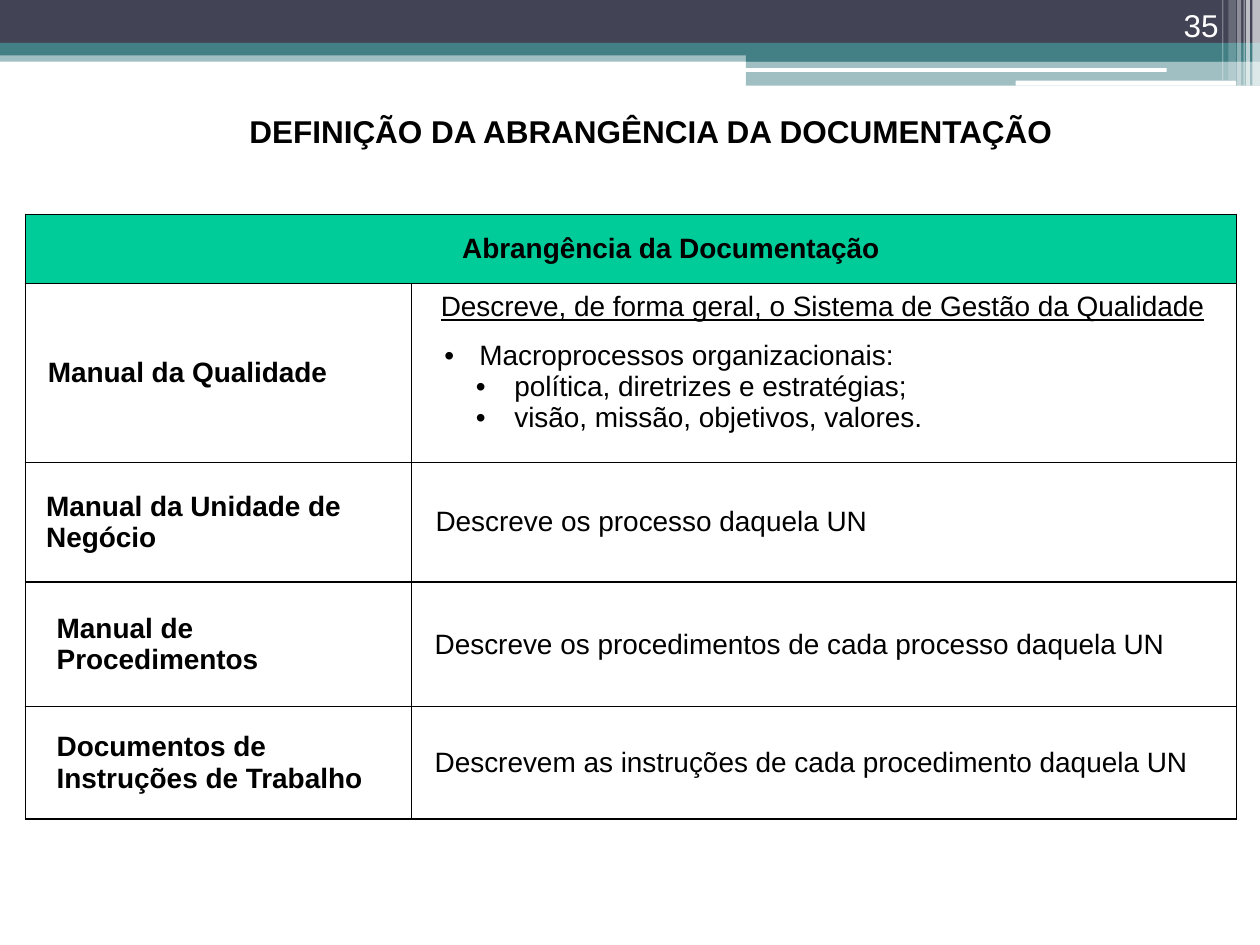
from lxml import etree
from pptx import Presentation
from pptx.dml.color import RGBColor
from pptx.enum.shapes import MSO_SHAPE
from pptx.enum.text import MSO_ANCHOR, PP_ALIGN
from pptx.oxml.ns import qn
from pptx.util import Pt

RECT, ROUNDED = MSO_SHAPE.RECTANGLE, MSO_SHAPE.ROUNDED_RECTANGLE
TOP, MIDDLE, BOTTOM = MSO_ANCHOR.TOP, MSO_ANCHOR.MIDDLE, MSO_ANCHOR.BOTTOM
CENTER, RIGHT = PP_ALIGN.CENTER, PP_ALIGN.RIGHT

NAVY, TEAL, GREEN, WHITE, BLACK = "424456", "438086", "00CC99", "FFFFFF", "000000"

# left, top, width, height, colour, opacity in percent, preset
BANDS = [
    (0, 28.8, 720, 6.5, TEAL, 50, RECT),
    (0, 0, 720, 24.5, NAVY, 100, RECT),
    (0, 24.5, 720, 7.2, TEAL, 100, RECT),
    (426.2, 28, 293.8, 7.2, TEAL, 100, RECT),
    (426.2, 34.6, 293.8, 14.4, TEAL, 50, RECT),
    (425.5, 38.9, 241.2, 2.2, WHITE, 100, ROUNDED),
    (580.3, 46.1, 126, 2.9, WHITE, 100, ROUNDED),
]
# left, width, height, opacity of the vertical stripes
STRIPES = [
    (715.7, 4.3, 49, 65), (712, 2.2, 49, 65), (710.6, 0.7, 49, 60),
    (707, 2.2, 49, 40), (702, 4.3, 46, 20), (698.4, 0.7, 46, 30),
]
# row height, left label, its margin, description, its margin
ROWS = [
    (102.2, "Manual da Qualidade", 13,
     "Descreve, de forma geral, o Sistema de Gestão da Qualidade", 16.5),
    (68.4, "Manual da Unidade de Negócio", 12, "Descreve os processo daquela UN", 13.5),
    (71.3, "Manual de Procedimentos", 18,
     "Descreve os procedimentos de cada processo daquela UN", 13),
    (64.1, "Documentos de Instruções de Trabalho", 18,
     "Descrevem as instruções de cada procedimento daquela UN", 13),
]
# text, left margin, hanging indent
BULLETS = [
    ("Macroprocessos organizacionais:", 22, 20),
    ("política, diretrizes e estratégias;", 42, 22),
    ("visão, missão, objetivos, valores.", 42, 22),
]


def rgb(color):
    return RGBColor.from_string(color)


def style(p, size, color, bold=False):
    for r in p.runs:
        r.font.name, r.font.size, r.font.bold = "Arial", Pt(size), bold
        r.font.color.rgb = rgb(color)


def add_block(slide, left, top, width, height, color, opacity, preset):
    sp = slide.shapes.add_shape(preset, Pt(left), Pt(top), Pt(width), Pt(height))
    sp.shadow.inherit = False
    sp.fill.solid()
    sp.fill.fore_color.rgb = rgb(color)
    sp.line.fill.background()
    if opacity < 100:
        clr = sp.fill._xPr.find(".//" + qn("a:srgbClr"))
        etree.SubElement(clr, qn("a:alpha"), val=str(opacity * 1000))


def add_banner(slide):
    for band in BANDS:
        add_block(slide, *band)
    for left, width, height, opacity in STRIPES:
        add_block(slide, left, 0, width, height, WHITE, opacity, RECT)


def place_text(sp, left, top, width, height, text, align, anchor, color, bold):
    sp.left, sp.top, sp.width, sp.height = Pt(left), Pt(top), Pt(width), Pt(height)
    tf = sp.text_frame
    tf.text = text
    tf.word_wrap = True
    tf.vertical_anchor = anchor
    tf.paragraphs[0].alignment = align
    style(tf.paragraphs[0], 18, color, bold)


def format_cell(cell, text, margin_left, margin_right, bold=False, fill=None):
    cell.text = text
    cell.vertical_anchor = MIDDLE
    cell.margin_left, cell.margin_right = Pt(margin_left), Pt(margin_right)
    style(cell.text_frame.paragraphs[0], 16, BLACK, bold)
    tcPr = cell._tc.get_or_add_tcPr()
    for side in ("a:lnL", "a:lnR", "a:lnT", "a:lnB"):
        ln = etree.SubElement(tcPr, qn(side), w=str(Pt(0.75)))
        etree.SubElement(etree.SubElement(ln, qn("a:solidFill")), qn("a:srgbClr"), val=BLACK)
    if fill:
        cell.fill.solid()
        cell.fill.fore_color.rgb = rgb(fill)
    else:
        cell.fill.background()


def add_bullets(cell):
    """Underline the lead sentence of the cell and list the bullets under it."""
    cell.vertical_anchor = TOP
    cell.margin_top = Pt(4.5)
    tf = cell.text_frame
    tf.paragraphs[0].runs[0].font.underline = True
    tf.paragraphs[0].space_after = Pt(10)
    for text, margin, hanging in BULLETS:
        p = tf.add_paragraph()
        p.text = text
        pPr = p._p.get_or_add_pPr()
        pPr.set("marL", str(Pt(margin)))
        pPr.set("indent", str(-Pt(hanging)))
        etree.SubElement(pPr, qn("a:buFont"), typeface="Arial")
        etree.SubElement(pPr, qn("a:buChar"), char="•")
        style(p, 16, BLACK)


def add_scope_table(slide, left, top, widths, header_height):
    heights = [header_height] + [row[0] for row in ROWS]
    table = slide.shapes.add_table(len(heights), len(widths), Pt(left), Pt(top),
                                   Pt(sum(widths)), Pt(sum(heights))).table
    table.horz_banding = False
    for column, width in zip(table.columns, widths):
        column.width = Pt(width)
    for row, height in zip(table.rows, heights):
        row.height = Pt(height)

    header = table.cell(0, 0)
    header.merge(table.cell(0, 1))
    for cell, text in zip(table.rows[0].cells, ("Abrangência da Documentação", "")):
        format_cell(cell, text, 46, 0, True, GREEN)
    header.text_frame.paragraphs[0].alignment = CENTER

    for i, (_, label, label_margin, text, text_margin) in enumerate(ROWS, 1):
        format_cell(table.cell(i, 0), label, label_margin, 24, True)
        format_cell(table.cell(i, 1), text, text_margin, 7)
    add_bullets(table.cell(1, 1))


def main():
    prs = Presentation()
    prs.slide_width, prs.slide_height = Pt(720), Pt(540)
    slide = prs.slides.add_slide(prs.slide_layouts[5])
    add_banner(slide)
    place_text(slide.shapes.title, 130, 60.5, 484, 29,
               "DEFINIÇÃO DA ABRANGÊNCIA DA DOCUMENTAÇÃO", CENTER, MIDDLE, BLACK, True)
    number = slide.shapes.add_textbox(0, 0, 0, 0)
    place_text(number, 643.7, 0, 59.8, 28.8, "35", RIGHT, BOTTOM, WHITE, False)
    add_scope_table(slide, 14.4, 122.4, (221, 471), 39.6)
    prs.save("out.pptx")


if __name__ == "__main__":
    main()
